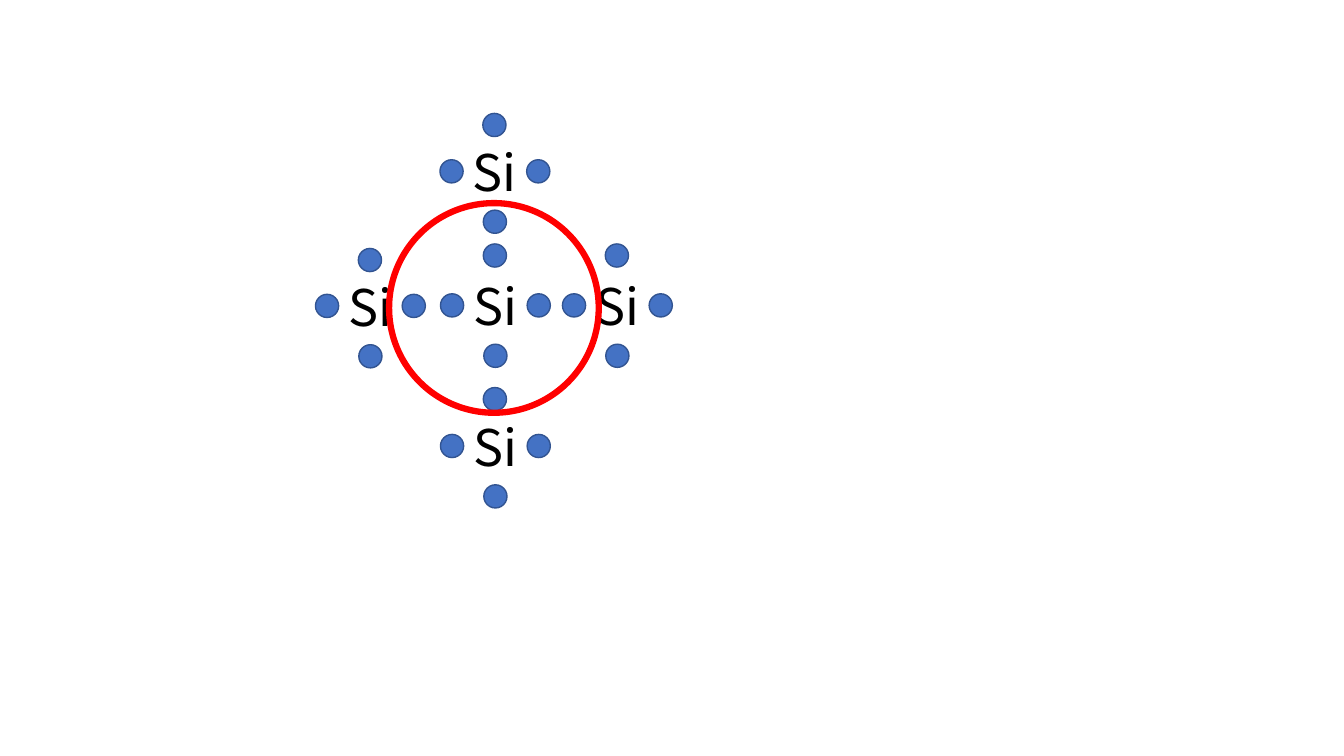
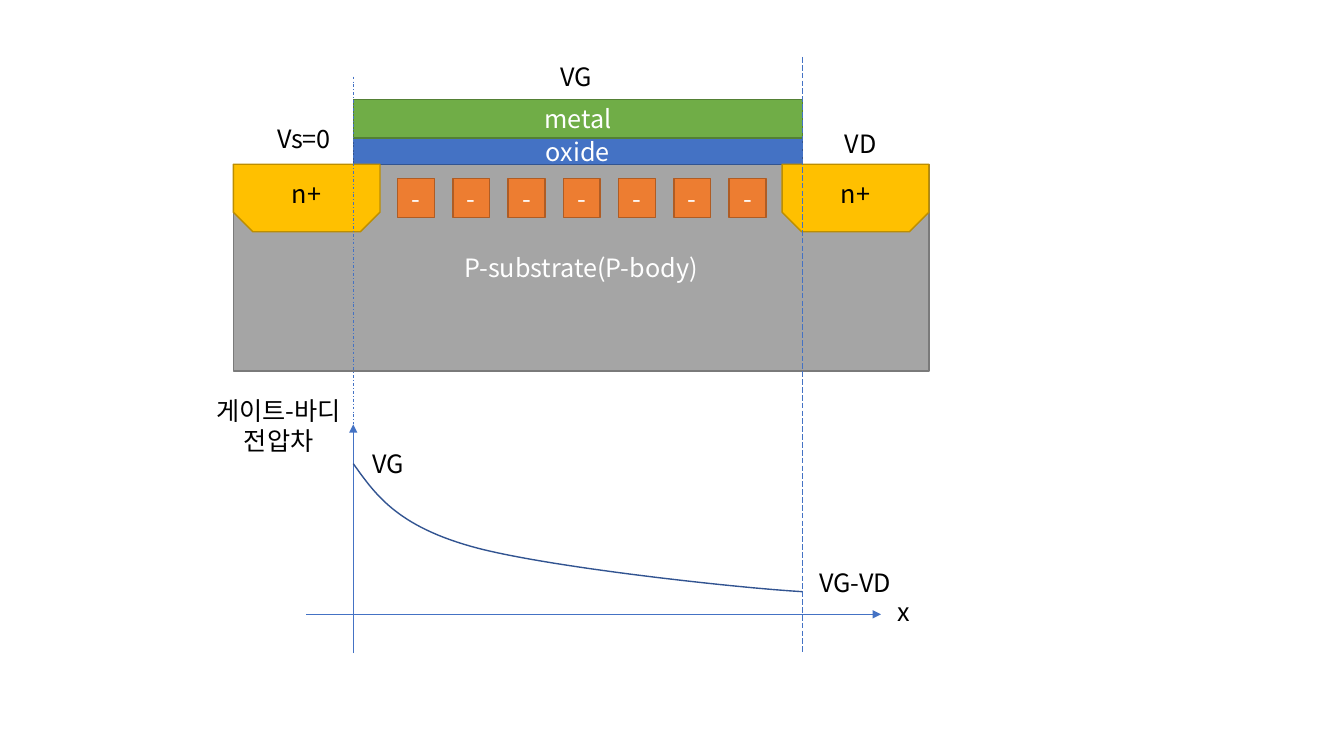
from pptx import Presentation
from pptx.dml.color import RGBColor as Rgb
from pptx.enum.dml import MSO_LINE as Dash
from pptx.enum.shapes import MSO_CONNECTOR as Conn, MSO_SHAPE as Geo
from pptx.enum.text import MSO_ANCHOR as Anchor, MSO_AUTO_SIZE as Fit, PP_ALIGN as Align
from pptx.oxml.ns import qn
from pptx.util import Inches, Pt
from lxml.etree import SubElement as Sub

# Shared look
FACE = "Noto Sans CJK KR"
BLACK, WHITE, RED = "000000", "FFFFFF", "FF0000"
BLUE = ("4472C4", "325491")
GRAY = ("A5A5A5", "7A7A7A")
GREEN = ("70AD47", "538035")
GOLD = ("FFC000", "BD8E00")
ORANGE = ("ED7D31", "AF5C24")

# Grid: columns and rows of a tenth of an inch
WIDE, HIGH = 133.33, 75
CELL = 0.1


def grid(*cells):
    return [Inches(n * CELL) for n in cells]


def paint(part, tint):
    if tint is None:
        part.background()
    else:
        part.solid()
        part.fore_color.rgb = Rgb.from_string(tint)


def put(item, form):
    for name, value in form.items():
        setattr(item, name, value)


def write(frame, text, tint, size, align):
    for i, line in enumerate(text.split("\n")):
        para = frame.add_paragraph() if i else frame.paragraphs[0]
        para.alignment = align
        run = para.add_run()
        run.text = line
        paint(run.font.fill, tint)
        put(run.font, {"size": Pt(size), "name": FACE})
        Sub(run.font._element, qn("a:ea"), typeface=FACE)


def shape(page, geo, box, fill, edge, text="", tint=WHITE, width=1):
    item = page.shapes.add_shape(geo, *grid(*box))
    item.shadow.inherit = False
    paint(item.fill, fill)
    paint(item.line.fill, edge)
    item.line.width = Pt(width)
    if text:
        item.text_frame.vertical_anchor = Anchor.MIDDLE
        write(item.text_frame, text, tint, 18, Align.CENTER)
    return item


def label(page, box, text, size=18, align=Align.LEFT, wrap=False):
    frame = page.shapes.add_textbox(*grid(*box)).text_frame
    put(frame, {"word_wrap": wrap, "auto_size": Fit.SHAPE_TO_FIT_TEXT})
    write(frame, text, BLACK, size, align)


def rule(page, ends, dash=None, arrow=False):
    item = page.shapes.add_connector(Conn.STRAIGHT, *grid(*ends))
    paint(item.line.fill, BLUE[0])
    put(item.line, {"width": Pt(0.5), "dash_style": dash})
    if arrow:
        Sub(item.line._get_or_add_ln(), qn("a:tailEnd"), type="triangle")
    Sub(item._element.spPr, qn("a:effectLst"))


def bend(a, b, c, d, steps=30):
    """Points along a cubic curve, after its start."""
    for i in range(1, steps + 1):
        t = i / steps
        u = 1 - t
        yield [u**3 * p + 3 * u * u * t * q + 3 * u * t * t * r + t**3 * s
               for p, q, r, s in zip(a, b, c, d)]


def curve(page, start, *parts):
    pen = page.shapes.build_freeform(*grid(*start))
    for part in parts:
        pen.add_line_segments([grid(*p) for p in bend(start, *part)], close=False)
        start = part[-1]
    item = pen.convert_to_shape()
    item.shadow.inherit = False
    item.fill.background()
    paint(item.line.fill, BLUE[1])
    item.line.width = Pt(1)


def atom(page, x, y, rise):
    """Silicon symbol with its four outer electrons."""
    dot = 2.3
    label(page, (x - 0.05, y, 6.8, 7.1), "Si", 36, wrap=True)
    for dx, dy in ((6.3, 2.35), (2, 7.35), (1.95, -rise), (-dot, 2.35)):
        shape(page, Geo.OVAL, (x + dx, y + dy, dot, dot), *BLUE)


def bonds(page):
    for spot in ((46, 26.8, 2.6), (58.1, 26.8, 2.6), (46, 40.75, 2.3),
                 (33.6, 26.85, 2.2), (45.95, 13.5, 2.25)):
        atom(page, *spot)
    # Shared shell
    shape(page, Geo.OVAL, (38.6, 20.15, 20.8, 20.8), None, RED, width=4.5)


def device(page):
    left, right, top = 35.05, 79.6, 16.3
    gate = right - left

    # Body and gate stack
    shape(page, Geo.RECTANGLE, (23.15, top, 69, 20.5), *GRAY, "P-substrate(P-body)")
    shape(page, Geo.RECTANGLE, (left, 13.7, gate, 2.6), *BLUE, "oxide")
    shape(page, Geo.RECTANGLE, (left, 9.85, gate, 3.85), *GREEN, "metal")

    # Source and drain
    for x in (23.15, 77.6):
        well = shape(page, Geo.SNIP_2_SAME_RECTANGLE, (x, top, 14.55, 6.7), *GOLD, "n+", BLACK)
        well.adjustments[0], well.adjustments[1] = 0, 0.29

    # Voltage at the gate and channel charges
    label(page, (54.6, 5.6, 11.3, 4), "VG", wrap=True)
    for i in range(7):
        shape(page, Geo.RECTANGLE, (39.45 + 5.48 * i, 17.7, 3.65, 3.9), *ORANGE, "-")
    label(page, (82.8, 12.25, 11.3, 4), "VD", wrap=True)

    # Axes and guides
    rule(page, (left, 64.8, left, 42.1), arrow=True)
    rule(page, (30.4, 60.95, 87.4, 60.95), arrow=True)
    rule(page, (right, 5.65, right, 64.8), Dash.LONG_DASH)
    rule(page, (left, 7.6, left, 42.1), Dash.DASH_DOT)

    # Axis labels
    label(page, (26.5, 11.7, 7.8, 4), "Vs=0")
    label(page, (88.1, 58.7, 3.2, 4), "x")
    label(page, (19.8, 38.7, 15.7, 7.1), "게이트-바디\n전압차", align=Align.CENTER)

    # Voltage curve
    curve(page, (left, 46),
          ((37.2, 49), (39.3, 52.1), (46.7, 54.2)),
          ((54.1, 56.3), (74, 58.4), (right, 58.7)))
    label(page, (36, 44, 5.3, 4), "VG")
    label(page, (80.3, 55.8, 9.8, 4), "VG-VD")


def main():
    deck = Presentation()
    deck.slide_width, deck.slide_height = grid(WIDE, HIGH)
    for draw in (bonds, device):
        draw(deck.slides.add_slide(deck.slide_layouts[6]))
    deck.save("out.pptx")


if __name__ == "__main__":
    main()
